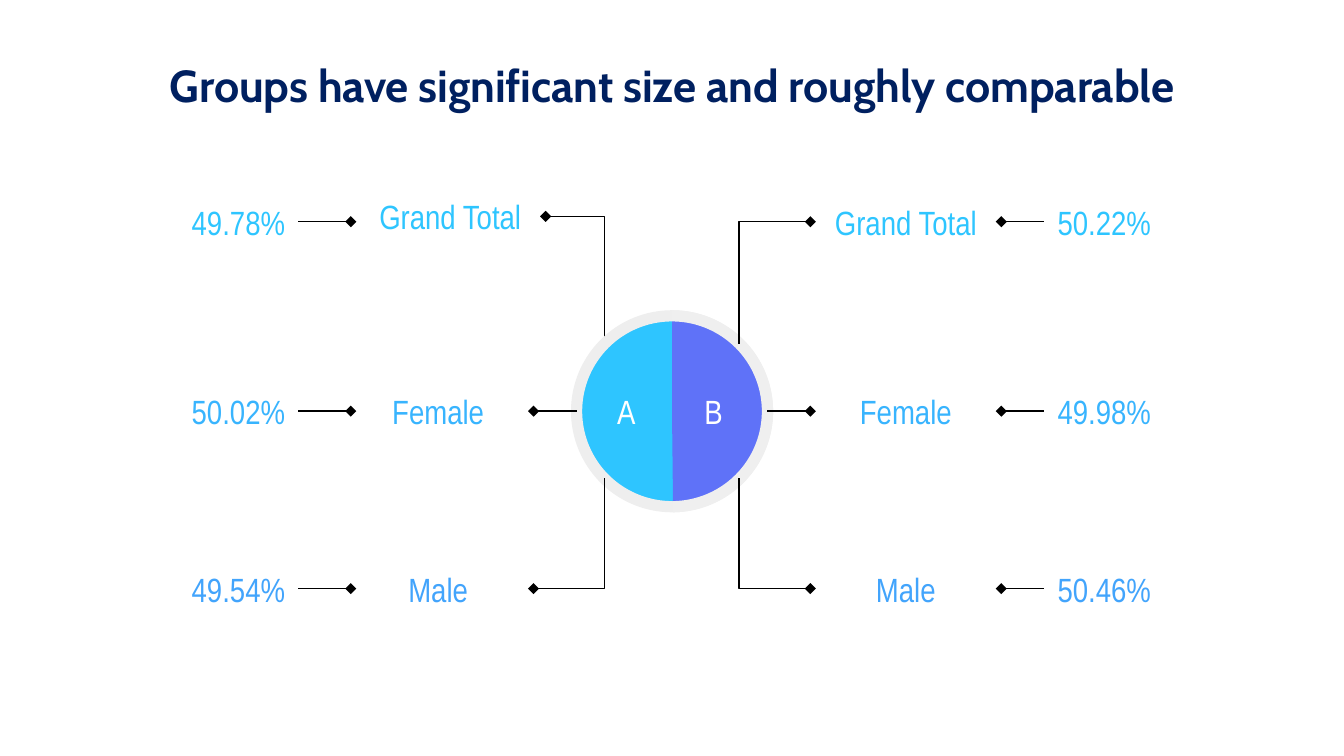
import pptx
import pptx.util
import pptx.dml.color
import pptx.enum.shapes
import pptx.enum.text
import pptx.oxml
import pptx.oxml.ns

TITLE = "Groups have significant size and roughly comparable"
ROWS = [
    ("Grand Total", "49.78%", "50.22%", "total", 1.65),
    ("Female", "50.02%", "49.98%", "female", 3.06),
    ("Male", "49.54%", "50.46%", "male", 4.38),
]
GROUPS = [("A", 4.41), ("B", 5.06)]
COLORS = {
    "title": "002060", "total": "2EC5FF", "female": "38B4FE", "male": "42A4FC",
    "group_a": "2EC5FF", "group_b": "5F72F8", "ring_a": "EEEEEE", "ring_b": "EFEFEF",
    "white": "FFFFFF", "line": "000000",
}
CENTER_X, CENTER_Y, DIAMETER = 5, 3.06, 1.42
ANCHOR_X, ANCHOR_Y = 0.5, 0.5
TEXT_HEIGHT, VALUE_WIDTH, LABEL_WIDTH = 0.36, 1.72, 1.42
LEFT_LABEL, RIGHT_LABEL = 2.55, 6.03
LEFT_VALUE, RIGHT_VALUE = 0.5, 7.77
TOTAL_SHIFT_X, TOTAL_SHIFT_Y = 0.09, -0.04

Inches = pptx.util.Inches
ALIGN = pptx.enum.text.PP_ALIGN
SHAPE = pptx.enum.shapes.MSO_SHAPE


def color(name):
    return pptx.dml.color.RGBColor.from_string(COLORS[name])


def write(box, text, color_name, align, **font):
    frame = box.text_frame
    settings = {
        "word_wrap": True,
        "auto_size": pptx.enum.text.MSO_AUTO_SIZE.NONE,
        "vertical_anchor": pptx.enum.text.MSO_ANCHOR.MIDDLE,
    }
    for side in ("left", "right", "top", "bottom"):
        settings[f"margin_{side}"] = Inches(0.1)
    for name, value in settings.items():
        setattr(frame, name, value)
    para = frame.paragraphs[0]
    para.alignment = align
    span = para.add_run()
    span.text = text
    style = {"name": "Arial Narrow", "size": pptx.util.Pt(18), **font}
    for name, value in style.items():
        setattr(span.font, name, value)
    span.font.color.rgb = color(color_name)
    return span


def add_text(page, left, middle, width, height, text, color_name, align=ALIGN.CENTER):
    box = page.shapes.add_textbox(
        Inches(left), Inches(middle - height / 2), Inches(width), Inches(height))
    write(box, text, color_name, align)


def add_link(page, start_x, start_y, end_x, end_y):
    link = page.shapes.add_connector(
        pptx.enum.shapes.MSO_CONNECTOR.ELBOW,
        Inches(start_x), Inches(start_y), Inches(end_x), Inches(end_y))
    link.line.width = pptx.util.Pt(0.75)
    link.line.color.rgb = color("line")
    properties = link._element.spPr
    if start_y != end_y:
        properties.find(pptx.oxml.ns.qn("a:prstGeom")).set("prst", "bentConnector2")
    space = pptx.oxml.ns.nsdecls("a")
    properties.find(pptx.oxml.ns.qn("a:ln")).append(
        pptx.oxml.parse_xml(f'<a:headEnd {space} type="diamond"/>'))
    properties.append(pptx.oxml.parse_xml(f"<a:effectLst {space}/>"))


def add_disc(page, kind, fill_name, ring_name):
    disc = page.shapes.add_shape(
        kind, Inches(CENTER_X - DIAMETER / 2), Inches(CENTER_Y - DIAMETER / 2),
        Inches(DIAMETER), Inches(DIAMETER))
    disc.shadow.inherit = False
    disc.fill.solid()
    disc.fill.fore_color.rgb = color(fill_name)
    disc.line.color.rgb = color(ring_name)
    disc.line.width = pptx.util.Pt(6)
    return disc


def add_row(page, label, value_a, value_b, color_name, middle):
    is_total = color_name == "total"
    shift_x, shift_y = (TOTAL_SHIFT_X, TOTAL_SHIFT_Y) if is_total else (0, 0)
    left_label, left_middle = LEFT_LABEL + shift_x, middle + shift_y
    add_text(page, LEFT_VALUE, middle, VALUE_WIDTH, TEXT_HEIGHT, value_a, color_name, ALIGN.RIGHT)
    add_text(page, left_label, left_middle, LABEL_WIDTH, TEXT_HEIGHT, label, color_name)
    add_text(page, RIGHT_LABEL, middle, LABEL_WIDTH, TEXT_HEIGHT, label, color_name)
    add_text(page, RIGHT_VALUE, middle, VALUE_WIDTH, TEXT_HEIGHT, value_b, color_name, ALIGN.LEFT)
    add_link(page, 2.61, middle, LEFT_VALUE + VALUE_WIDTH, middle)
    add_link(page, RIGHT_LABEL + LABEL_WIDTH, middle, RIGHT_VALUE, middle)

    if middle == CENTER_Y:
        reach, end_y = DIAMETER / 2, middle
    else:
        reach = ANCHOR_X
        end_y = CENTER_Y + (ANCHOR_Y if middle > CENTER_Y else -ANCHOR_Y)
    if not is_total:
        add_link(page, left_label + LABEL_WIDTH, left_middle, CENTER_X - reach, end_y)
    add_link(page, RIGHT_LABEL, middle, CENTER_X + reach, end_y)


def main():
    deck = pptx.Presentation()
    deck.slide_width = Inches(10)
    deck.slide_height = deck.slide_width * 9 // 16
    page = deck.slides.add_slide(deck.slide_layouts[5])

    title = page.shapes.title
    place = {"left": 0.5, "top": 0.45, "width": 9, "height": 0.36}
    for name, value in place.items():
        setattr(title, name, Inches(value))
    span = write(title, TITLE, "title", ALIGN.CENTER,
                 name="Cabin", size=pptx.util.Pt(24), bold=True)
    span.font._element.set("spc", "-5")

    total_middle = ROWS[0][-1] + TOTAL_SHIFT_Y
    add_link(page, LEFT_LABEL + LABEL_WIDTH + TOTAL_SHIFT_X, total_middle,
             CENTER_X - ANCHOR_X, CENTER_Y - ANCHOR_Y)
    add_disc(page, SHAPE.OVAL, "group_a", "ring_a")
    half = add_disc(page, SHAPE.ARC, "group_b", "ring_b")
    half.adjustments[0], half.adjustments[1] = 162, 53.62
    for name, left in GROUPS:
        add_text(page, left, CENTER_Y, 0.5, 0.43, name, "white")
    for row in ROWS:
        add_row(page, *row)

    deck.save("out.pptx")


if __name__ == "__main__":
    main()
